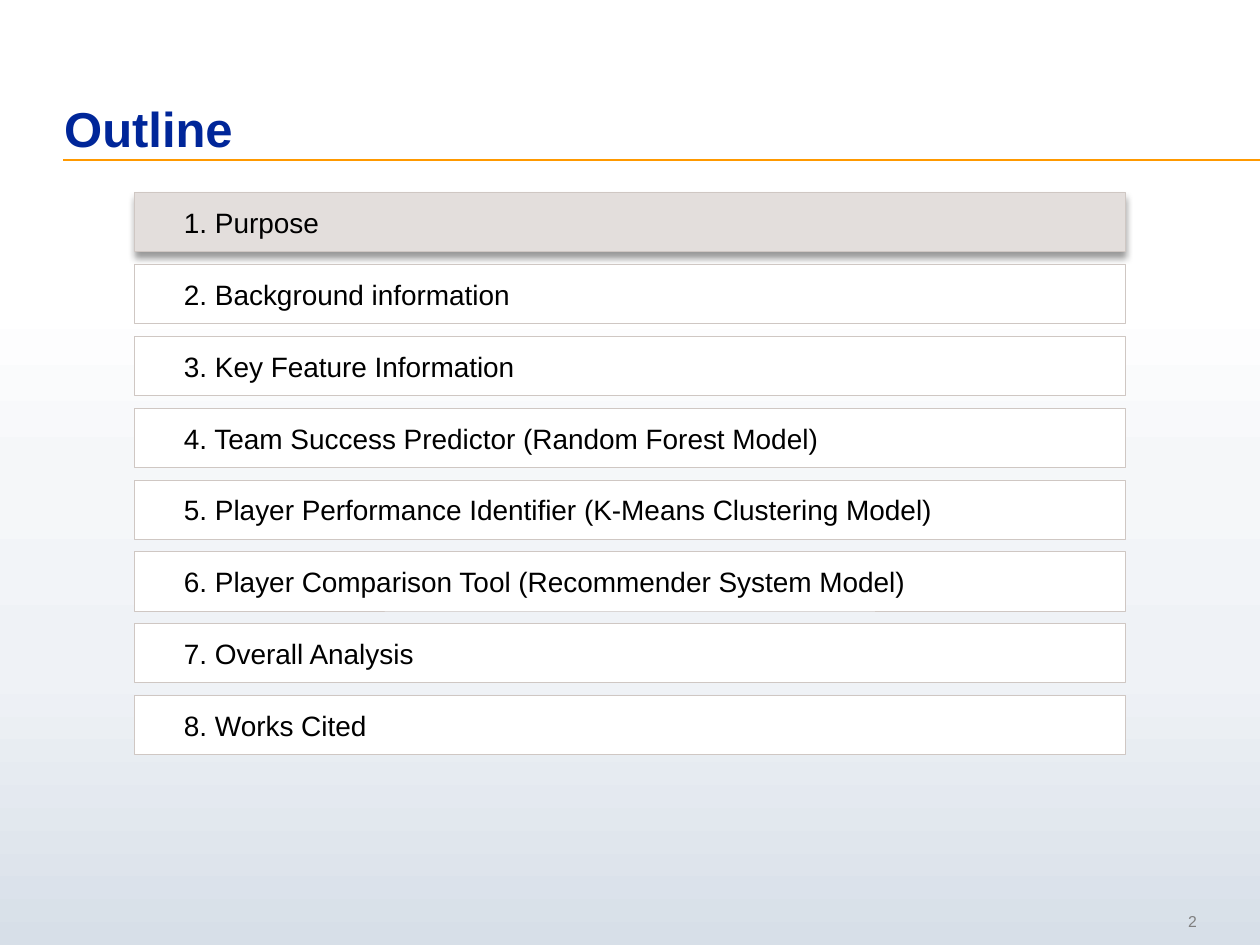
"""Build the outline slide with its eight numbered agenda bars."""
from copy import deepcopy

from lxml import etree
from pptx import Presentation
from pptx.dml.color import RGBColor
from pptx.enum.shapes import MSO_CONNECTOR, MSO_SHAPE
from pptx.enum.text import MSO_ANCHOR, MSO_AUTO_SIZE, PP_ALIGN
from pptx.oxml.ns import qn
from pptx.util import Inches, Pt

LINE = MSO_CONNECTOR.STRAIGHT
RECT = MSO_SHAPE.RECTANGLE
MIDDLE, BOTTOM = MSO_ANCHOR.MIDDLE, MSO_ANCHOR.BOTTOM
FIXED = MSO_AUTO_SIZE.NONE
LEFT, RIGHT = PP_ALIGN.LEFT, PP_ALIGN.RIGHT

COLORS = {
    "title": "002699", "rule": "FF9900", "text": "000000", "number": "7F7F7F",
    "bar": "FFFFFF", "active": "E3DEDC", "edge": "CFC7C3", "shadow": "000000",
}
STOPS = [(0.31, "FFFFFF"), (0.5, "F5F7F9"), (0.71, "EFF2F6"), (1, "D7DFE8")]
TOPICS = [
    "Purpose",
    "Background information",
    "Key Feature Information",
    "Team Success Predictor (Random Forest Model)",
    "Player Performance Identifier (K-Means Clustering Model)",
    "Player Comparison Tool (Recommender System Model)",
    "Overall Analysis",
    "Works Cited",
]
TOP, PITCH = 1.53, 0.57


def tint(name):
    return RGBColor.from_string(COLORS[name])


def set_all(item, values):
    for name, value in values.items():
        setattr(item, name, value)


def place(shape, left, top, width, height):
    set_all(shape, {"left": Inches(left), "top": Inches(top),
                    "width": Inches(width), "height": Inches(height)})


def write(shape, text, size, color, anchor=MIDDLE, align=LEFT, bold=False,
          inset=(0, 0)):
    first, rest = inset
    frame = shape.text_frame
    frame.text = text
    set_all(frame, {
        "word_wrap": True, "auto_size": FIXED, "vertical_anchor": anchor,
        "margin_left": Inches(first), "margin_right": Inches(rest),
        "margin_top": Inches(rest), "margin_bottom": Inches(rest),
    })
    para = frame.paragraphs[0]
    para.alignment = align
    font = para.runs[0].font
    set_all(font, {"name": "Arial", "size": Pt(size), "bold": bold})
    font.color.rgb = tint(color)
    return para


def paint_back(slide):
    fill = slide.background.fill
    fill.gradient()
    fill.gradient_angle = 270
    stops = slide.element.find(".//" + qn("a:gsLst"))
    while len(stops) < len(STOPS):
        stops.append(deepcopy(stops[0]))
    for stop, (place_at, color) in zip(fill.gradient_stops, STOPS):
        stop.position = place_at
        stop.color.rgb = RGBColor.from_string(color)


def add_rule(slide):
    rule = slide.shapes.add_connector(
        LINE, Inches(0.5), Inches(1.27), Inches(10), Inches(1.27))
    rule.line.color.rgb = tint("rule")
    rule.line.width = Pt(1)
    etree.SubElement(rule.element.spPr, qn("a:effectLst"))


def add_title(slide):
    title = slide.shapes.title
    place(title, 0.51, 0.33, 8.25, 0.92)
    para = write(title, "Outline", 28, "title", anchor=BOTTOM, bold=True)
    para.line_spacing = Pt(26)


def add_number(slide):
    box = slide.shapes.add_textbox(
        Inches(8.91), Inches(7.18), Inches(0.59), Inches(0.27))
    write(box, "2", 9, "number", align=RIGHT)


def add_shadow(shape):
    effects = shape.element.spPr.find(qn("a:effectLst"))
    outer = etree.SubElement(
        effects, qn("a:outerShdw"), blurRad=str(Pt(4)), dist=str(Pt(3)),
        dir="5400000", rotWithShape="0")
    color = etree.SubElement(outer, qn("a:srgbClr"), val=COLORS["shadow"])
    etree.SubElement(color, qn("a:alpha"), val="40000")


def add_bar(slide, row, topic, active):
    bar = slide.shapes.add_shape(
        RECT, Inches(1.07), Inches(TOP + row * PITCH),
        Inches(7.86), Inches(0.47))
    bar.shadow.inherit = False
    bar.fill.solid()
    bar.fill.fore_color.rgb = tint("active" if active else "bar")
    bar.line.color.rgb = tint("edge")
    bar.line.width = Pt(0.5)
    write(bar, f"{row + 1}. {topic}", 16, "text", inset=(0.39, 0.08))
    if active:
        add_shadow(bar)


def main():
    deck = Presentation()
    set_all(deck, {"slide_width": Inches(10), "slide_height": Inches(7.5)})
    slide = deck.slides.add_slide(deck.slide_layouts[5])
    paint_back(slide)
    add_rule(slide)
    add_number(slide)
    add_title(slide)
    for row, topic in enumerate(TOPICS):
        add_bar(slide, row, topic, active=row == 0)
    deck.save("out.pptx")


if __name__ == "__main__":
    main()
